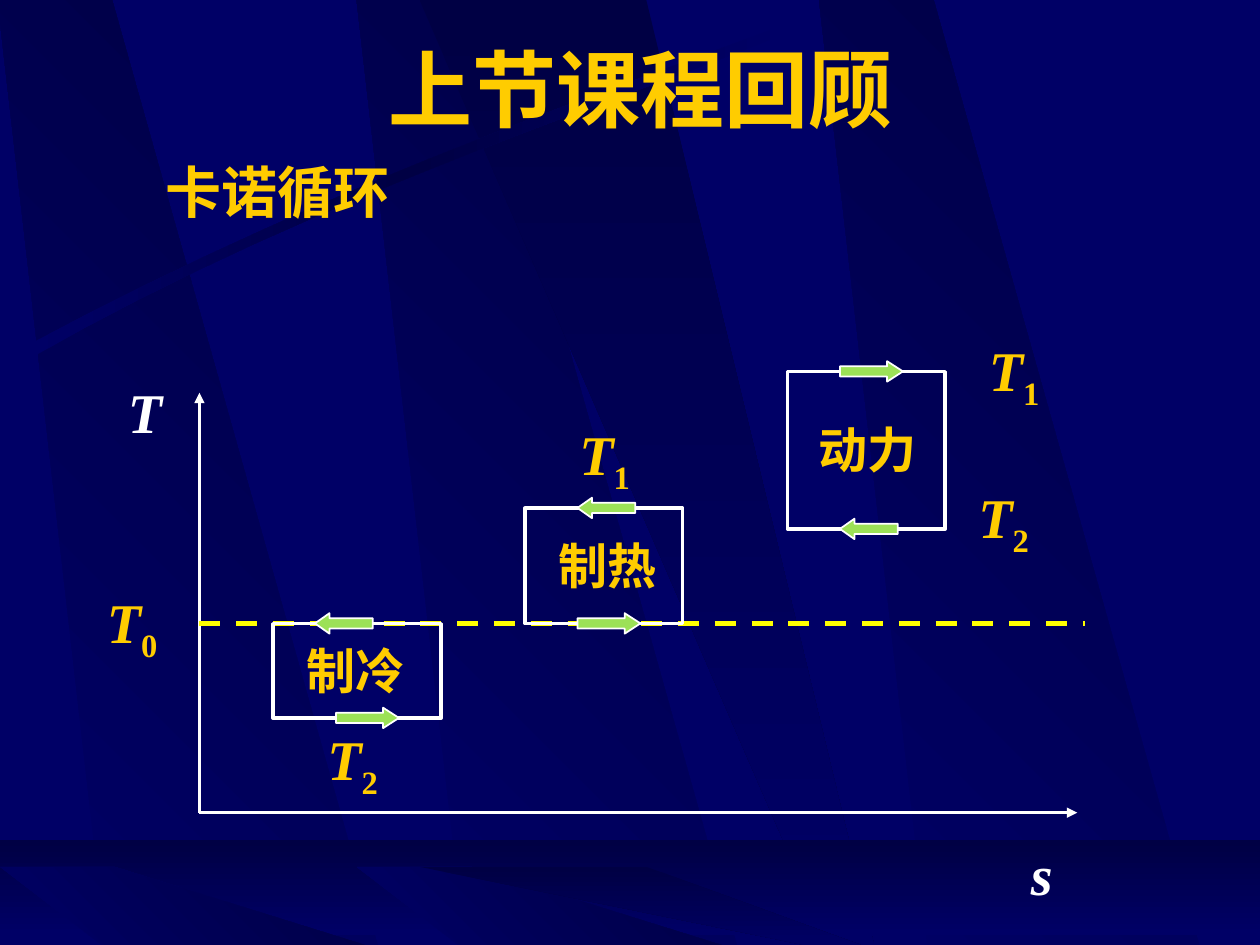
from copy import deepcopy

from lxml import etree
from pptx import Presentation
from pptx.dml.color import RGBColor
from pptx.enum.dml import MSO_LINE
from pptx.enum.shapes import MSO_CONNECTOR, MSO_SHAPE
from pptx.enum.text import MSO_ANCHOR, PP_ALIGN
from pptx.oxml.ns import qn
from pptx.util import Inches, Pt

RECT, RIGHT, LEFT = MSO_SHAPE.RECTANGLE, MSO_SHAPE.RIGHT_ARROW, MSO_SHAPE.LEFT_ARROW
STRAIGHT, DASH = MSO_CONNECTOR.STRAIGHT, MSO_LINE.DASH
CENTER, MIDDLE, TOP = PP_ALIGN.CENTER, MSO_ANCHOR.MIDDLE, MSO_ANCHOR.TOP

COLORS = {name: RGBColor.from_string(value) for name, value in {
    "navy": "000066", "shade": "000044", "gold": "FFCC00",
    "white": "FFFFFF", "yellow": "FFFF00", "green": "9CE157"}.items()}

prs = Presentation()
prs.slide_width, prs.slide_height = Inches(10), Inches(7.5)
COL, ROW = prs.slide_width / 120, prs.slide_height / 90  # grid of 120 by 90
slide = prs.slides.add_slide(prs.slide_layouts[6])
slide.background.fill.solid()
slide.background.fill.fore_color.rgb = COLORS["navy"]
shapes = slide.shapes


def shade(shape, angle, names):
    """Give a borderless gradient with evenly spaced stops."""
    shape.shadow.inherit = False
    shape.line.fill.background()
    shape.fill.gradient()
    shape.fill.gradient_angle = angle
    stop_list = shape._element.spPr.find(".//" + qn("a:gsLst"))
    while len(stop_list) < len(names):
        stop_list.append(deepcopy(stop_list[0]))
    for i, (stop, name) in enumerate(zip(shape.fill.gradient_stops, names)):
        stop.position = i / (len(names) - 1)
        stop.color.rgb = COLORS[name]


def write(col, row, cols, rows, words, size, color="gold", italic=False, sub="",
          font="Times New Roman", align=None, anchor=TOP, wrap=False):
    frame = shapes.add_textbox(*map(round, (col * COL, row * ROW, cols * COL, rows * ROW))).text_frame
    frame.word_wrap, frame.vertical_anchor = wrap, anchor
    paragraph = frame.paragraphs[0]
    paragraph.alignment = align
    paragraph.font.name, paragraph.font.size = font, Pt(size)
    paragraph.font.bold = True
    paragraph.font.color.rgb = COLORS[color]
    symbol = paragraph.add_run()
    symbol.text = words
    if italic:
        symbol.font.italic = True
    if sub:
        index = paragraph.add_run()
        index.text = sub
        index.font._element.set("baseline", "-25000")


# Backdrop: light beams on the wall, a streak across them, then the floor
BEAM = [(0, 0), (0.86, 1), (3.02, 1), (0.91, 0)]
FAN = [(0, 0), (3.25, 1), (3.61, 1), (1.8, 0)]
BEAM_SHADE = 45, ("navy", "shade")
FLOOR_SHADE = 270, ("shade", "navy")
WALL = 0, 7.51
FLOOR = 6.88, 0.66


streak = []
for start, c1, c2, end in (((0.2, 2.75), (2.84, 1.34), (5.24, 0.59), (6.26, 0.18)),
                           ((6.29, 0.24), (5.28, 0.69), (2.54, 1.51), (0.23, 2.85))):
    for t in (i / 16 for i in range(17)):
        weights = (1 - t) ** 3, 3 * t * (1 - t) ** 2, 3 * t * t * (1 - t), t ** 3
        streak.append(tuple(sum(w * p[axis] for w, p in zip(weights, (start, c1, c2, end)))
                            for axis in (0, 1)))

backdrop = [(outline, left, *band, *look) for outline, left, band, look in (
    (BEAM, 2.83, WALL, BEAM_SHADE), (BEAM, -0.02, WALL, BEAM_SHADE),
    (BEAM, 6.5, WALL, BEAM_SHADE), (FAN, 3.33, WALL, FLOOR_SHADE),
    (streak, 0, (0, 1), (0, ("navy", "shade", "navy"))),
    ([(0, 0), (10, 0), (10, 1), (0, 1)], 0, (6.67, 0.75), FLOOR_SHADE),
    (BEAM, 2.83, FLOOR, BEAM_SHADE), (BEAM, 0, FLOOR, BEAM_SHADE),
    (FAN, 3.33, FLOOR, FLOOR_SHADE))]
for outline, left, top, height, angle, names in backdrop:
    if len(outline) == 4 and outline[1][1] == 0:
        piece = shapes.add_shape(RECT, Inches(left), Inches(top), Inches(10), Inches(height))
    else:
        points = [(Inches(left + x), Inches(top + y * height)) for x, y in outline]
        builder = shapes.build_freeform(*points[0])
        builder.add_line_segments(points[1:], close=True)
        piece = builder.convert_to_shape()
    shade(piece, angle, names)

write(10, 3, 102, 10.8, "上节课程回顾", 48, font="Montserrat", align=CENTER, anchor=MIDDLE, wrap=True)

# Axes and the ambient temperature line
ORIGIN, BASE, AMBIENT = 19, 77.4, 59.4
for end_col, start_row, end_row, color, width, dashed in (
        (ORIGIN, BASE, 37.4, "white", 1.5, False),
        (102.6, BASE, BASE, "white", 1.5, False),
        (103.3, AMBIENT, AMBIENT, "yellow", 3, True)):
    axis = shapes.add_connector(STRAIGHT, *map(round, (
        ORIGIN * COL, start_row * ROW, end_col * COL, end_row * ROW)))
    axis.line.color.rgb, axis.line.width = COLORS[color], Pt(width)
    if dashed:
        axis.line.dash_style = DASH
    else:
        etree.SubElement(axis.line._get_or_add_ln(), qn("a:tailEnd"), type="triangle")
    etree.SubElement(axis._element.spPr, qn("a:effectLst"))

# Cycles: left, top, right, bottom, arrow columns and directions on the top and bottom sides
cycles = [(26, AMBIENT, 42, 68.4, (30, LEFT), (32, RIGHT)),
          (50, 48.4, 65, AMBIENT, (55, LEFT), (55, RIGHT)),
          (75, 35.4, 90, 50.4, (80, RIGHT), (80, LEFT))]
for left, top, right, bottom, *flows in cycles:
    cycle = shapes.add_shape(RECT, *map(round, (
        left * COL, top * ROW, (right - left) * COL, (bottom - top) * ROW)))
    cycle.shadow.inherit = False
    cycle.fill.background()
    cycle.line.color.rgb, cycle.line.width = COLORS["white"], Pt(2)
    for (col, direction), side in zip(flows, (top, bottom)):
        length, head = (6, 0.77) if direction == RIGHT else (5.5, 0.71)
        flow = shapes.add_shape(direction, *map(round, (
            col * COL, (side - 1) * ROW, length * COL, 1.95 * ROW)))
        flow.adjustments[1] = head
        flow.shadow.inherit = False
        flow.fill.solid()
        flow.fill.fore_color.rgb = COLORS["green"]
        flow.line.color.rgb, flow.line.width = COLORS["white"], Pt(1)

for col, row, cols, words in ((28, 60.4, 15.7, "制冷"), (52, 50.4, 15.4, "制热"), (76.8, 39.4, 11.8, "动力")):
    write(col, row, cols, 6.8, words, 28, wrap=True)
for col, row, sub in ((9, 55.4, "0"), (30, 68.4, "2"), (54, 39.4, "1"), (93, 31.4, "1"), (92, 45.4, "2")):
    write(col, row, 7.4, 7.6, "T", 32, italic=True, sub=sub)
for col, row, cols, words in ((11, 35.4, 5.6, "T"), (97, 79.4, 4.6, "s")):
    write(col, row, cols, 7.6, words, 32, color="white", italic=True)
write(14.6, 14.4, 25.1, 7.7, "卡诺循环", 32, wrap=True)

prs.save("out.pptx")
